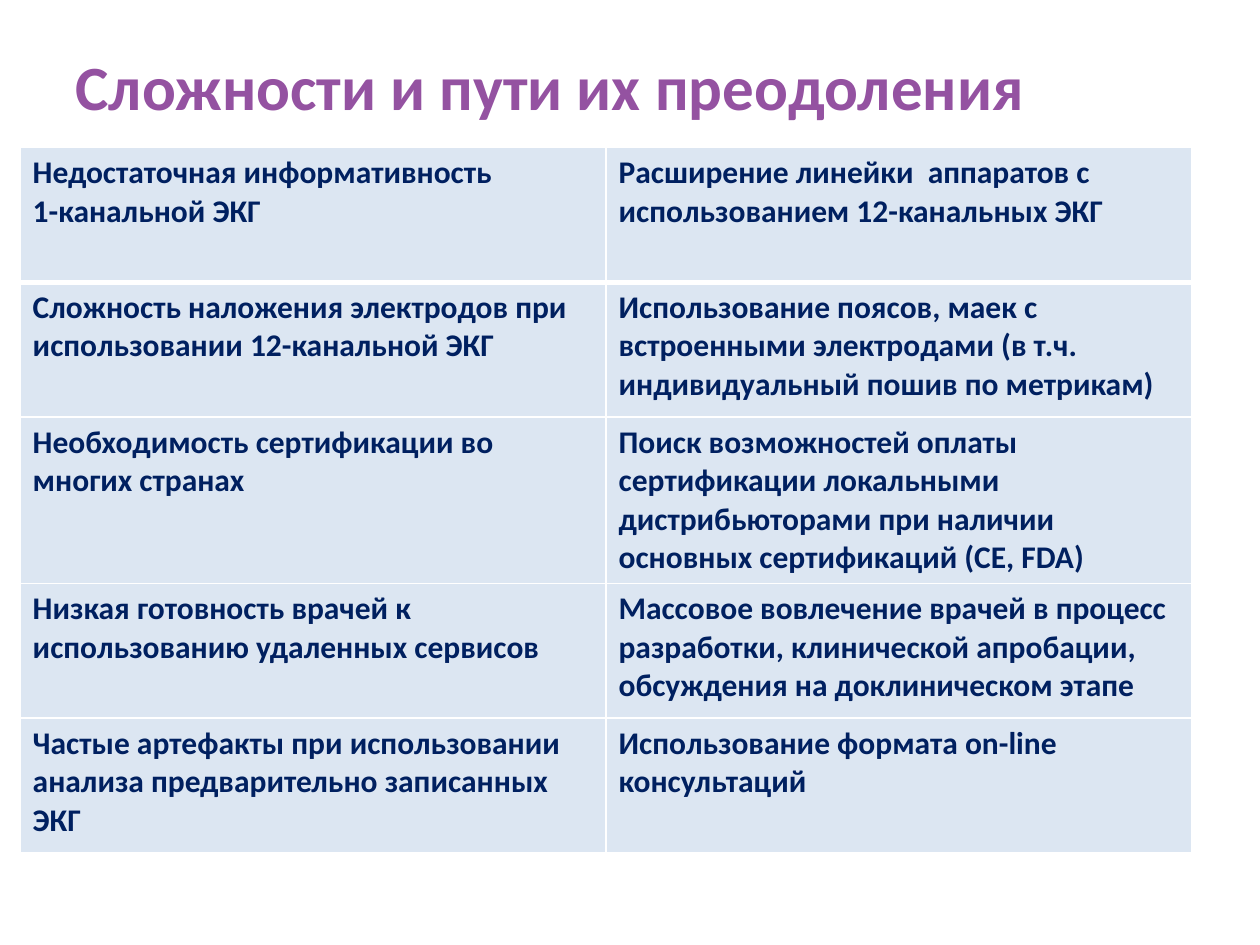
from lxml.etree import SubElement
from pptx import Presentation
from pptx.dml.color import RGBColor
from pptx.enum.text import MSO_ANCHOR as Anchor, PP_ALIGN as Align
from pptx.oxml.ns import qn
from pptx.util import Inches, Pt

COLORS = {"heading": "9452A1", "text": "002060", "cell": "DCE6F2", "border": "FFFFFF"}
FONT = "Calibri"

HEADING = "Сложности и пути их преодоления"
SOLUTIONS = [
    ("Недостаточная информативность\n1-канальной ЭКГ",
     "Расширение линейки  аппаратов с использованием 12-канальных ЭКГ"),
    ("Сложность наложения электродов при использовании 12-канальной ЭКГ",
     "Использование поясов, маек с встроенными электродами "
     "(в т.ч. индивидуальный пошив по метрикам)"),
    ("Необходимость сертификации во многих странах",
     "Поиск возможностей оплаты сертификации локальными дистрибьюторами "
     "при наличии основных сертификаций (СE, FDA)"),
    ("Низкая готовность врачей к использованию удаленных сервисов",
     "Массовое вовлечение врачей в процесс разработки, клинической апробации, "
     "обсуждения на доклиническом этапе"),
    ("Частые артефакты при использовании анализа предварительно записанных ЭКГ",
     "Использование формата on-line консультаций"),
]
ROW_HEIGHTS = [1.07, 1.07, 1.27, 1.07, 1.07]


def write(frame, text, *, size, color, bold=True, align=Align.LEFT):
    frame.word_wrap = True
    frame.text = text
    for paragraph in frame.paragraphs:
        paragraph.alignment = align
        for run in paragraph.runs:
            run.font.name = FONT
            run.font.size = Pt(size)
            run.font.bold = bold
            run.font.color.rgb = RGBColor.from_string(COLORS[color])


def add_borders(cell, **widths):
    properties = cell._tc.get_or_add_tcPr()
    for side in ("L", "R", "T", "B"):
        line = SubElement(properties, qn(f"a:ln{side}"), w=str(Pt(widths.get(side, 1))))
        fill = SubElement(line, qn("a:solidFill"))
        SubElement(fill, qn("a:srgbClr"), val=COLORS["border"])


def place_heading(slide, left, top, width, height):
    heading = slide.shapes.title
    heading.left, heading.top = Inches(left), Inches(top)
    heading.width, heading.height = Inches(width), Inches(height)
    heading.text_frame.vertical_anchor = Anchor.MIDDLE
    write(heading.text_frame, HEADING, size=36, color="heading")


def place_solutions(slide, left, top, width):
    height = sum(ROW_HEIGHTS)
    table = slide.shapes.add_table(
        len(SOLUTIONS), 2, Inches(left), Inches(top), Inches(width), Inches(height)
    ).table
    table.horz_banding = False
    for column in table.columns:
        column.width = Inches(width / 2)
    for index, (pair, row_height) in enumerate(zip(SOLUTIONS, ROW_HEIGHTS)):
        table.rows[index].height = Inches(row_height)
        for cell, text in zip(table.rows[index].cells, pair):
            add_borders(cell, T=3 if index == 1 else 1, B=3 if index == 0 else 1)
            cell.fill.solid()
            cell.fill.fore_color.rgb = RGBColor.from_string(COLORS["cell"])
            write(cell.text_frame, text, size=18, color="text")


def main():
    deck = Presentation()
    deck.slide_width, deck.slide_height = Inches(10), Inches(7.5)
    slide = deck.slides.add_slide(deck.slide_layouts[5])
    place_heading(slide, 0.5, 0.05, 9, 1.25)
    place_solutions(slide, 0.16, 1.17, 9.3)
    deck.save("out.pptx")


if __name__ == "__main__":
    main()
